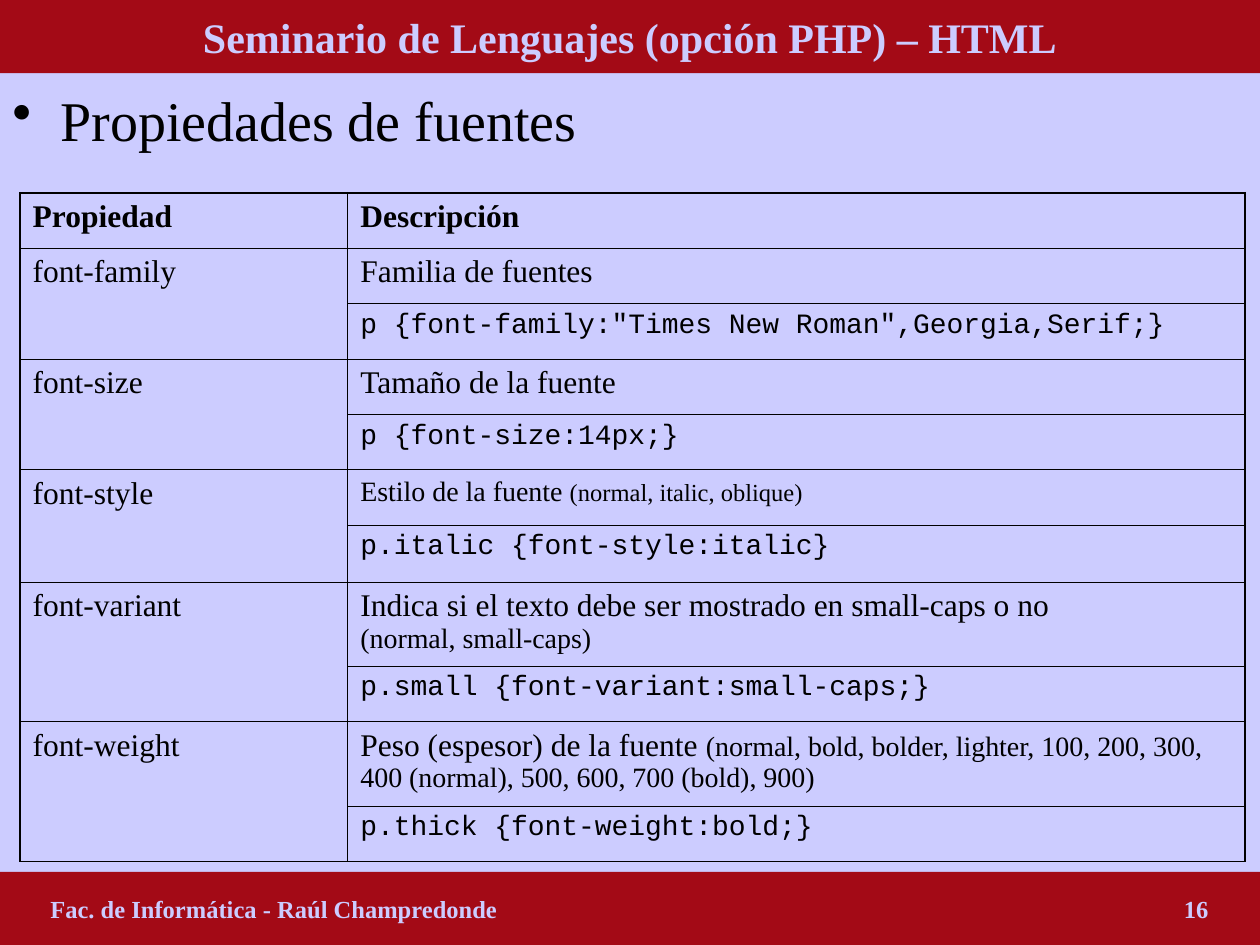
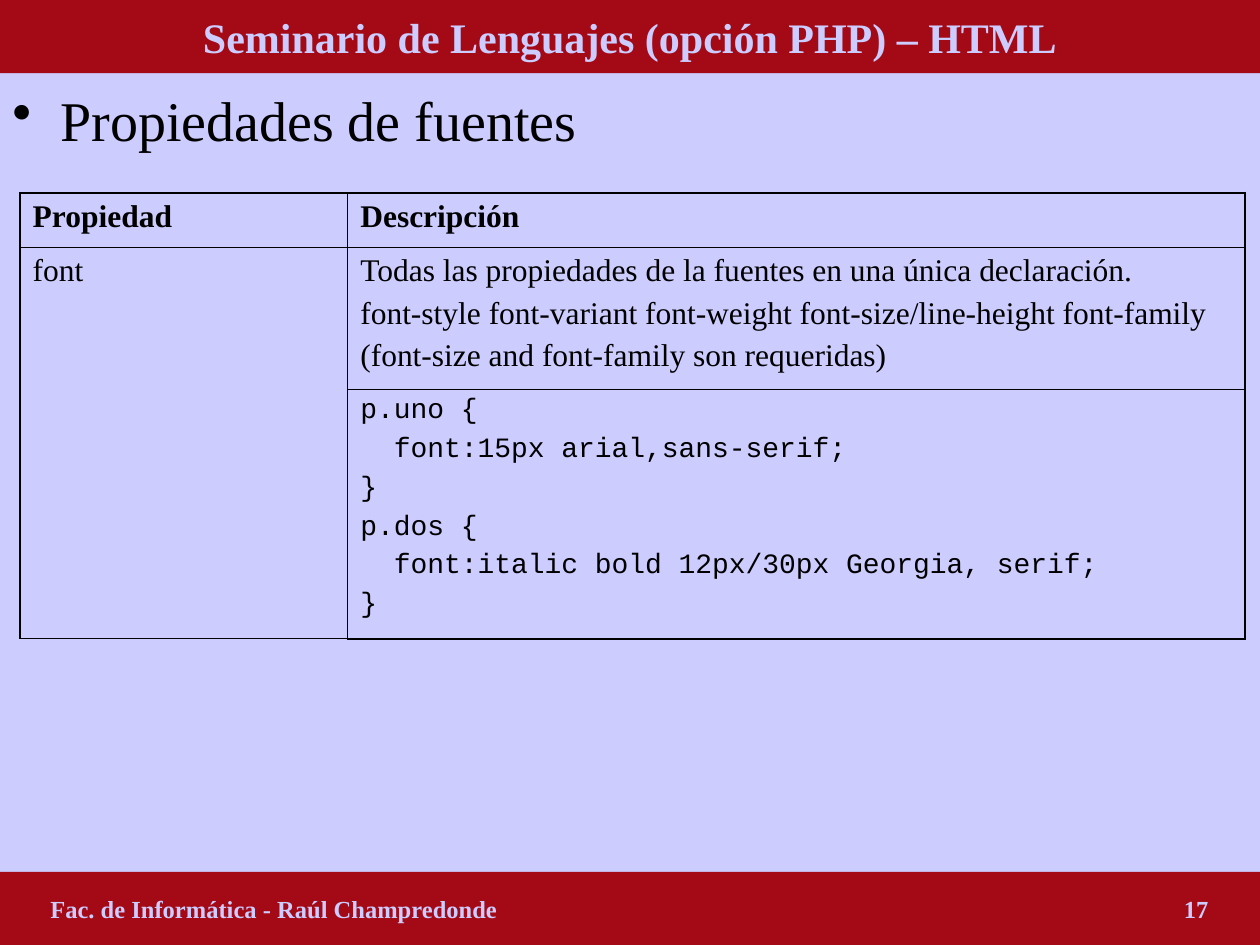
from lxml import etree
from pptx import Presentation
from pptx.dml.color import RGBColor
from pptx.enum.shapes import MSO_SHAPE
from pptx.enum.text import MSO_ANCHOR, MSO_AUTO_SIZE, PP_ALIGN
from pptx.oxml.ns import qn
from pptx.util import Inches, Pt

RECTANGLE = MSO_SHAPE.RECTANGLE
MIDDLE = MSO_ANCHOR.MIDDLE
NO_AUTOFIT = MSO_AUTO_SIZE.NONE
CENTER, LEFT = PP_ALIGN.CENTER, PP_ALIGN.LEFT

COLORS = {"background": "CCCCFF", "band": "A30A16", "text": "000000"}
SERIF, MONO = "Times New Roman", "Courier New"
WIDTH, HEIGHT, BAND_HEIGHT = 10, 7.5, 0.58
TABLE_LEFT, TABLE_TOP = 0.16, 1.53
COLUMN_WIDTHS = [2.6, 7.12]
OUTER_LINE, INNER_LINE = 1.08, 0.45
BREAK = ("\n", 18)

COURSE = "Seminario de Lenguajes (opción PHP) – HTML"
AUTHOR = "Fac. de Informática - Raúl Champredonde"
TOPIC = "Propiedades de fuentes"

# Each property: name, paragraphs of (text, size) runs, lines of code
FONT_PROPERTIES = [
    ("font-family", [[("Familia de fuentes", 18)]],
     ['p {font-family:"Times New Roman",Georgia,Serif;}']),
    ("font-size", [[("Tamaño de la fuente", 18)]],
     ["p {font-size:14px;}"]),
    ("font-style",
     [[("Estilo de la fuente ", 16), ("(normal, italic, oblique)", 14)]],
     ["p.italic {font-style:italic}"]),
    ("font-variant",
     [[("Indica si el texto debe ser mostrado en small-caps o no", 18), BREAK,
       ("(normal, small-caps)", 16)]],
     ["p.small {font-variant:small-caps;}"]),
    ("font-weight",
     [[("Peso (espesor) de la fuente ", 18),
       ("(normal, bold, bolder, lighter, 100, 200, 300, 400 (normal), "
        "500, 600, 700 (bold), 900)", 16)]],
     ["p.thick {font-weight:bold;}"]),
]
FONT_SHORTHAND = [
    ("font",
     [[("Todas las propiedades de la fuentes en una única declaración.", 18)],
      [("font-style font-variant font-weight font-size/line-height font-family", 18)],
      [("(font-size and font-family son requeridas)", 18)]],
     ["p.uno {", "  font:15px arial,sans-serif;", "}",
      "p.dos {", "  font:italic bold 12px/30px Georgia, serif;", "}"]),
]
PAGES = [
    (16, FONT_PROPERTIES, [0.44] * 6 + [0.45, 0.67, 0.44, 0.67, 0.44]),
    (17, FONT_SHORTHAND, [0.43, 1.13, 1.98]),
]


def rgb(name):
    return RGBColor.from_string(COLORS[name])


class Deck:
    def __init__(self):
        self.prs = Presentation()
        self.prs.slide_width = Inches(WIDTH)
        self.prs.slide_height = Inches(HEIGHT)
        fill = self.prs.slide_master.background.fill
        fill.solid()
        fill.fore_color.rgb = rgb("background")
        self.slide = None

    def new_slide(self):
        self.slide = self.prs.slides.add_slide(self.prs.slide_layouts[5])

    def run(self, paragraph, text, size, color="text", font=SERIF, bold=False):
        run = paragraph.add_run()
        run.text = text
        run.font.name, run.font.size, run.font.bold = font, Pt(size), bold
        run.font.color.rgb = rgb(color)

    def band(self, shape, top):
        """Turn a shape into a full-width band and return its paragraph."""
        shape.left, shape.top = Inches(0), Inches(top)
        shape.width, shape.height = Inches(WIDTH), Inches(BAND_HEIGHT)
        shape.fill.solid()
        shape.fill.fore_color.rgb = rgb("band")
        shape.line.fill.background()
        frame = shape.text_frame
        frame.word_wrap, frame.auto_size = True, NO_AUTOFIT
        frame.vertical_anchor = MIDDLE
        return frame.paragraphs[0]

    def title(self, text):
        paragraph = self.band(self.slide.shapes.title, 0)
        paragraph.alignment = CENTER
        self.run(paragraph, text, 24, "background", bold=True)

    def footer(self, text, number):
        """Bottom band: author at the left, page number on a right tab."""
        shape = self.slide.shapes.add_shape(RECTANGLE, 0, 0, 0, 0)
        shape.shadow.inherit = False
        paragraph = self.band(shape, HEIGHT - BAND_HEIGHT)
        shape.text_frame.margin_left = shape.text_frame.margin_right = Inches(0.4)
        paragraph.alignment = LEFT
        tabs = etree.SubElement(paragraph._p.get_or_add_pPr(), qn("a:tabLst"))
        etree.SubElement(tabs, qn("a:tab"), pos=str(Inches(9.19)), algn="r")
        self.run(paragraph, f"{text}\t{number}", 14, "background", bold=True)

    def bullet(self, text):
        box = self.slide.shapes.add_textbox(
            Inches(0), Inches(0.63), Inches(WIDTH), Inches(0.65))
        box.text_frame.word_wrap = True
        paragraph = box.text_frame.paragraphs[0]
        properties = paragraph._p.get_or_add_pPr()
        properties.set("marL", str(Inches(0.38)))
        properties.set("indent", str(-Inches(0.38)))
        etree.SubElement(properties, qn("a:buChar"), char="•")
        self.run(paragraph, text, 32)

    def cell_text(self, cell, paragraphs, space=4.5, **style):
        frame = cell.text_frame
        for index, runs in enumerate(paragraphs):
            paragraph = frame.add_paragraph() if index else frame.paragraphs[0]
            if index:
                paragraph.space_before = Pt(space)
            for text, size in runs:
                if (text, size) == BREAK:
                    paragraph.add_line_break()
                else:
                    self.run(paragraph, text, size, **style)

    def borders(self, cell, outer):
        """Draw the four cell edges, thicker on the outside of the table."""
        properties = cell._tc.get_or_add_tcPr()
        for index, (side, is_outer) in enumerate(outer.items()):
            width = OUTER_LINE if is_outer else INNER_LINE
            line = etree.Element(qn(f"a:ln{side}"), w=str(Pt(width)))
            fill = etree.SubElement(line, qn("a:solidFill"))
            etree.SubElement(fill, qn("a:srgbClr"), val=COLORS["text"])
            properties.insert(index, line)

    def property_table(self, entries, heights):
        table = self.slide.shapes.add_table(
            len(heights), len(COLUMN_WIDTHS), Inches(TABLE_LEFT), Inches(TABLE_TOP),
            Inches(sum(COLUMN_WIDTHS)), Inches(sum(heights))).table
        table.first_row = table.horz_banding = False
        for column, width in zip(table.columns, COLUMN_WIDTHS):
            column.width = Inches(width)
        last_row, last_column = len(heights) - 1, len(COLUMN_WIDTHS) - 1
        for r, height in enumerate(heights):
            table.rows[r].height = Inches(height)
            for c in range(len(COLUMN_WIDTHS)):
                cell = table.cell(r, c)
                cell.fill.background()
                self.borders(cell, {"L": c == 0, "R": c == last_column,
                                    "T": r == 0, "B": r == last_row})
        for c, heading in enumerate(["Propiedad", "Descripción"]):
            self.cell_text(table.cell(0, c), [[(heading, 18)]], bold=True)
        for index, (name, description, code) in enumerate(entries):
            row = 1 + 2 * index
            table.cell(row, 0).merge(table.cell(row + 1, 0))
            self.borders(table.cell(row, 0), {})
            self.cell_text(table.cell(row, 0), [[(name, 18)]])
            self.cell_text(table.cell(row, 1), description)
            self.cell_text(table.cell(row + 1, 1), [[(line, 16)] for line in code],
                           space=4, font=MONO)


def main():
    deck = Deck()
    for number, entries, heights in PAGES:
        deck.new_slide()
        deck.title(COURSE)
        deck.bullet(TOPIC)
        deck.footer(AUTHOR, number)
        deck.property_table(entries, heights)
    deck.prs.save("out.pptx")


if __name__ == "__main__":
    main()
